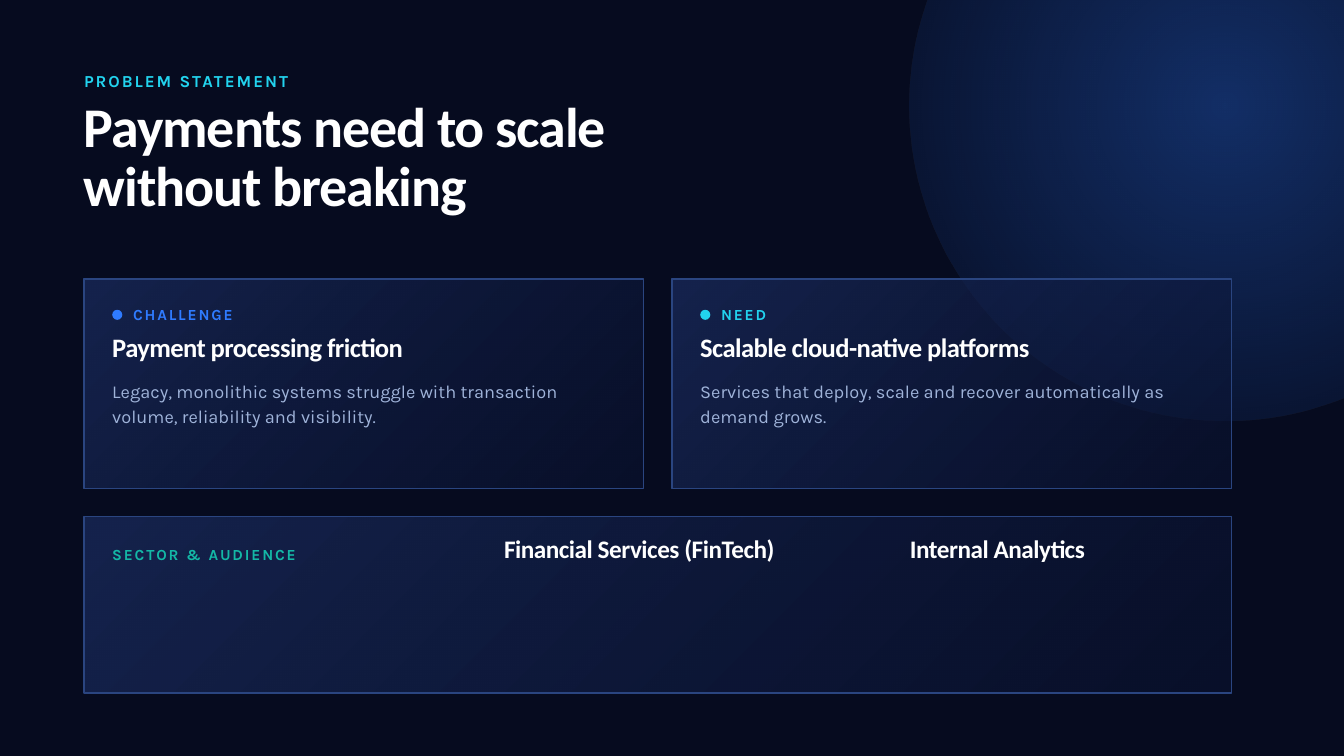
import pptx
import pptx.dml.color
import pptx.enum.shapes
import pptx.enum.text
import pptx.oxml
import pptx.oxml.ns
import pptx.util
from pptx.util import Inches

HEADING, BODY = "Calibri", "Karla"
WHITE, CYAN, BLUE, TEAL, MUTED = "FFFFFF", "22D3EE", "2F7BFF", "14B8A6", "9FB3D9"
MARGIN, GUTTER, CONTENT_WIDTH = 1.25, 0.42, 17.08
PADDING = 0.42


def rgb(color):
    return pptx.dml.color.RGBColor.from_string(color)


def add_text(page, left, top, width, height, lines, font, size, color,
             leading, bold=True, spacing=0):
    box = page.shapes.add_textbox(Inches(left), Inches(top), Inches(width), Inches(height))
    frame = box.text_frame
    frame.margin_left = frame.margin_top = frame.margin_right = frame.margin_bottom = 0
    frame.word_wrap = True
    frame.auto_size = pptx.enum.text.MSO_AUTO_SIZE.SHAPE_TO_FIT_TEXT
    for index, line in enumerate(lines):
        para = frame.add_paragraph() if index else frame.paragraphs[0]
        para.line_spacing = pptx.util.Pt(leading)
        span = para.add_run()
        span.text = line
        span.font.name = font
        span.font.size = pptx.util.Pt(size)
        span.font.bold = bold
        span.font.color.rgb = rgb(color)
        if spacing:
            span.font._element.set("spc", str(round(spacing * 100)))


def add_label(page, left, top, width, text, color):
    add_text(page, left, top, width, 0.3, [text], BODY, 16.5, color, 23.1, spacing=2)


def add_shape(page, kind, left, top, width, height):
    shape = page.shapes.add_shape(kind, Inches(left), Inches(top), Inches(width), Inches(height))
    shape.shadow.inherit = False
    shape.line.fill.background()
    return shape


def add_oval(page, left, top, size):
    return add_shape(page, pptx.enum.shapes.MSO_SHAPE.OVAL, left, top, size, size)


def fill_gradient(shape, stops):
    """Fill with two (colour, opacity percent) stops and return the gradient element."""
    shape.fill.gradient()
    for stop, (color, _) in zip(shape.fill.gradient_stops, stops):
        stop.color.rgb = rgb(color)
    gradient = shape._element.spPr.find(pptx.oxml.ns.qn("a:gradFill"))
    for node, (_, opacity) in zip(gradient.iter(pptx.oxml.ns.qn("a:srgbClr")), stops):
        alpha = pptx.oxml.parse_xml(f'<a:alpha {pptx.oxml.ns.nsdecls("a")}/>')
        alpha.set("val", str(opacity * 1000))
        node.append(alpha)
    return gradient


def add_glow(page, left, top, size):
    gradient = fill_gradient(add_oval(page, left, top, size), [(BLUE, 32), (BLUE, 0)])
    radial = pptx.oxml.parse_xml(
        f'<a:path {pptx.oxml.ns.nsdecls("a")} path="circle">'
        '<a:fillToRect l="50000" t="50000" r="50000" b="50000"/></a:path>')
    gradient.replace(gradient.find(pptx.oxml.ns.qn("a:lin")), radial)


def add_panel(page, left, top, width, height):
    panel = add_shape(page, pptx.enum.shapes.MSO_SHAPE.RECTANGLE, left, top, width, height)
    fill_gradient(panel, [("1A2B5C", 75), ("0B1433", 55)])
    panel.fill.gradient_angle = 315
    panel.line.color.rgb = rgb("2A4580")
    panel.line.width = pptx.util.Pt(1.5)


def add_header(page, left, top):
    add_text(page, left, top, 9.38, 0.34, ["PROBLEM STATEMENT"], BODY, 18, CYAN, 25.2, spacing=2.1)
    add_text(page, left, top + 0.49, 11.46, 1.93,
             ["Payments need to scale", "without breaking"],
             HEADING, 60, WHITE, 63, spacing=-1.2)


def add_card(page, left, top, width, height, label, color, title, detail):
    add_panel(page, left, top, width, height)
    inner, inner_width = left + PADDING, width - 2 * PADDING
    dot = add_oval(page, inner, top + 0.46, 0.15)
    dot.fill.solid()
    dot.fill.fore_color.rgb = rgb(color)
    add_label(page, inner + 0.31, top + 0.34, inner_width - 0.31, label, color)
    add_text(page, inner, top + 0.84, inner_width, 0.47, [title],
             HEADING, 28.5, WHITE, 29.9, spacing=-0.6)
    add_text(page, inner, top + 1.45, inner_width, 0.73, [detail],
             BODY, 19.5, MUTED, 27.3, bold=False)


def add_audience(page, left, top, width, height):
    add_panel(page, left, top, width, height)
    add_label(page, left + PADDING, top + 0.38, 5.21, "SECTOR & AUDIENCE", TEAL)
    for offset, item_width, text in [(6.25, 5.42, "Financial Services (FinTech)"),
                                     (12.29, 4.38, "Internal Analytics")]:
        add_text(page, left + offset, top + 0.3, item_width, 0.46, [text],
                 HEADING, 27, WHITE, 28.4, spacing=-0.5)


def main():
    deck = pptx.Presentation()
    deck.slide_width, deck.slide_height = Inches(20), Inches(11.25)
    page = deck.slides.add_slide(deck.slide_layouts[6])
    page.background.fill.solid()
    page.background.fill.fore_color.rgb = rgb("060B1F")

    add_glow(page, 13.54, -3.12, 9.38)
    add_header(page, MARGIN, 1)
    cards = [
        ("CHALLENGE", BLUE, "Payment processing friction",
         "Legacy, monolithic systems struggle with transaction volume, reliability and visibility."),
        ("NEED", CYAN, "Scalable cloud-native platforms",
         "Services that deploy, scale and recover automatically as demand grows."),
    ]
    card_width = (CONTENT_WIDTH - GUTTER) / 2
    for column, card in enumerate(cards):
        add_card(page, MARGIN + column * (card_width + GUTTER), 4.15, card_width, 3.12, *card)
    add_audience(page, MARGIN, 7.69, CONTENT_WIDTH, 2.62)
    deck.save("out.pptx")


if __name__ == "__main__":
    main()
